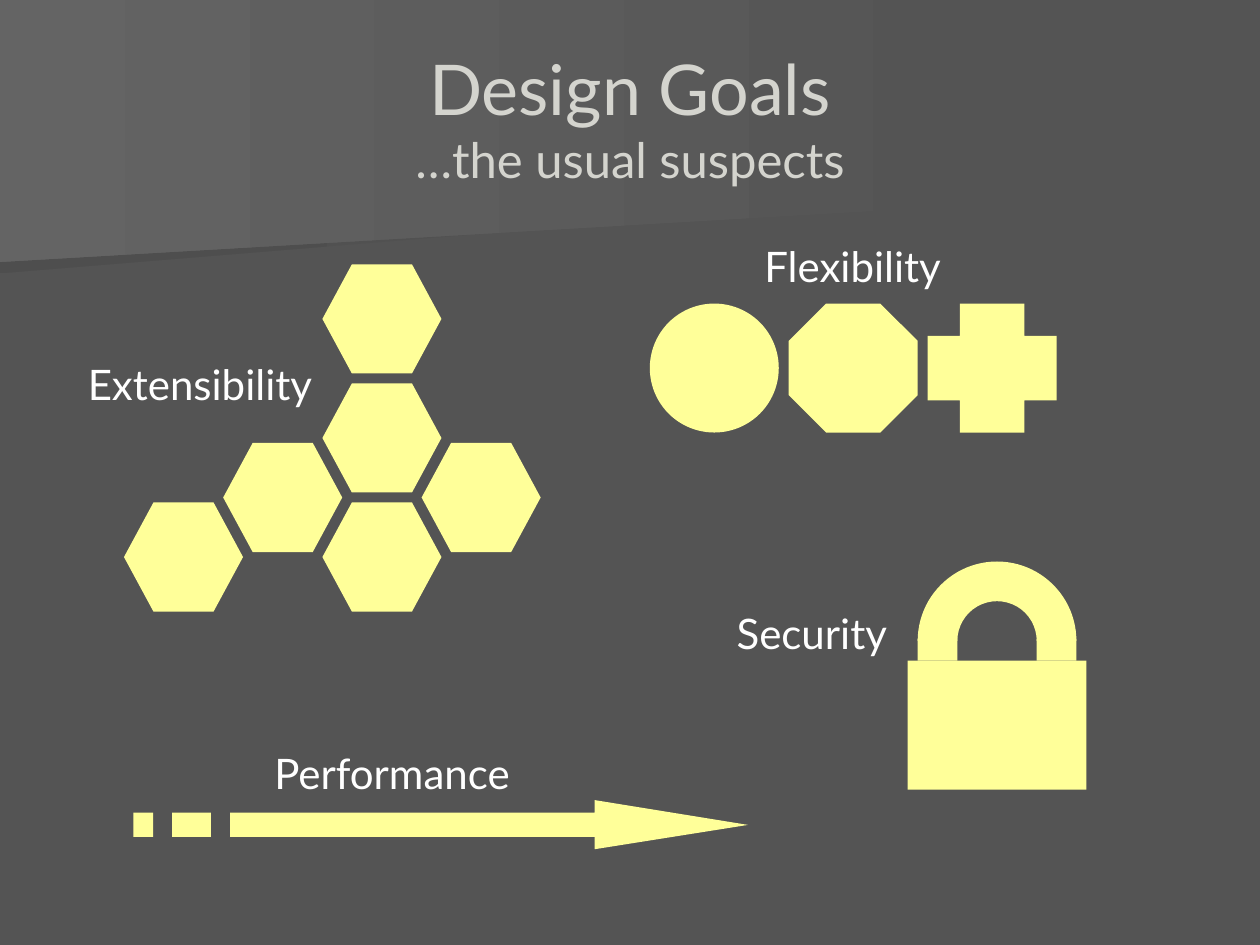
from pptx import Presentation
from pptx.dml.color import RGBColor
from pptx.enum.shapes import MSO_SHAPE as Preset
from pptx.enum.text import MSO_ANCHOR, MSO_AUTO_SIZE, PP_ALIGN
from pptx.util import Cm, Pt

COLORS = {
    "background": "545454",
    "shade": "4E4E4E",
    "light": "646464",
    "title": "D4D4CE",
    "label": "FFFFFF",
    "symbol": "FFFF99",
}
FONT = "Lato"

deck = Presentation()
deck.slide_width = Cm(25.4)
deck.slide_height = Cm(19.05)
page = deck.slides.add_slide(deck.slide_layouts[6])
page.background.fill.solid()
page.background.fill.fore_color.rgb = RGBColor.from_string(COLORS["background"])


def add_outline(contours):
    points = [[(Cm(x), Cm(y)) for x, y in contour] for contour in contours]
    builder = page.shapes.build_freeform(*points[0][0], scale=1.0)
    builder.add_line_segments(points[0][1:], close=True)
    for contour in points[1:]:
        builder.move_to(*contour[0])
        builder.add_line_segments(contour[1:], close=True)
    shape = builder.convert_to_shape()
    shape.shadow.inherit = False
    shape.line.fill.background()
    return shape


def add_symbol(preset, left, top, width, height, adjustments=()):
    shape = page.shapes.add_shape(preset, Cm(left), Cm(top), Cm(width), Cm(height))
    for index, value in enumerate(adjustments):
        shape.adjustments[index] = value
    shape.shadow.inherit = False
    shape.fill.solid()
    shape.fill.fore_color.rgb = RGBColor.from_string(COLORS["symbol"])
    shape.line.fill.background()


bands = [
    ([(19.76, 3.89), (0, 5.51), (0, 2.57), (19.79, 2.57)], "shade"),
    ([(20.12, 4.11), (0, 5.28), (0, 0), (20.12, 0)], "light"),
]
for contour, end_color in bands:
    band = add_outline([contour])
    band.fill.gradient()
    band.fill.gradient_angle = 180
    for stop, name in zip(band.fill.gradient_stops, ("background", end_color)):
        stop.color.rgb = RGBColor.from_string(COLORS[name])
    for stop, position in zip(band.fill.gradient_stops, (0, 1)):
        stop.position = position

title = page.shapes.add_textbox(Cm(1.27), Cm(0.76), Cm(22.86), Cm(3.18))
title.text_frame.word_wrap = True
title.text_frame.vertical_anchor = MSO_ANCHOR.MIDDLE
title.text_frame.text = "Design Goals\v…the usual suspects"
para = title.text_frame.paragraphs[0]
para.alignment = PP_ALIGN.CENTER
for span, size in zip(para.runs, (40, 28)):
    span.font.name = FONT
    span.font.size = Pt(size)
    span.font.color.rgb = RGBColor.from_string(COLORS["title"])

for column, row in [(2, 0), (2, 2), (1, 3), (3, 3), (0, 4), (2, 4)]:
    add_symbol(Preset.HEXAGON, 2.5 + 2 * column, 5.33 + 1.2 * row, 2.4, 2.2, [0.27])

flexible_shapes = [(Preset.OVAL, []), (Preset.OCTAGON, [0.29]), (Preset.CROSS, [0.25])]
for index, (preset, adjustments) in enumerate(flexible_shapes):
    add_symbol(preset, 13.1 + 2.8 * index, 6.12, 2.6, 2.6, adjustments)

shaft_top, shaft_bottom = 16.38, 16.87
arrow_contour = [
    (4.64, shaft_top), (11.99, shaft_top), (11.99, 16.13), (15.08, 16.63),
    (11.99, 17.12), (11.99, shaft_bottom), (4.64, shaft_bottom),
]
dashes = [
    [(left, shaft_top), (right, shaft_top), (right, shaft_bottom), (left, shaft_bottom)]
    for left, right in [(2.69, 3.09), (3.47, 4.25)]
]
arrow = add_outline([arrow_contour, *dashes])
arrow.fill.solid()
arrow.fill.fore_color.rgb = RGBColor.from_string(COLORS["symbol"])

add_symbol(Preset.RECTANGLE, 18.3, 13.32, 3.6, 2.6)
add_symbol(Preset.BLOCK_ARC, 18.5, 11.32, 3.2, 3.2, [108, 0, 0.25])
for left in (18.5, 20.9):
    add_symbol(Preset.RECTANGLE, left, 12.88, 0.8, 0.44)

labels = [
    ("Extensibility", 1.52, 7.11, 5.26),
    ("Performance", 5.28, 14.94, 5.66),
    ("Flexibility", 15.16, 4.72, 4.22),
    ("Security", 14.6, 12.12, 3.68),
]
for text, left, top, width in labels:
    box = page.shapes.add_textbox(Cm(left), Cm(top), Cm(width), Cm(1.27))
    box.text_frame.word_wrap = False
    box.text_frame.auto_size = MSO_AUTO_SIZE.SHAPE_TO_FIT_TEXT
    box.text_frame.text = text
    span = box.text_frame.paragraphs[0].runs[0]
    span.font.name = FONT
    span.font.size = Pt(24)
    span.font.color.rgb = RGBColor.from_string(COLORS["label"])

deck.save("out.pptx")
